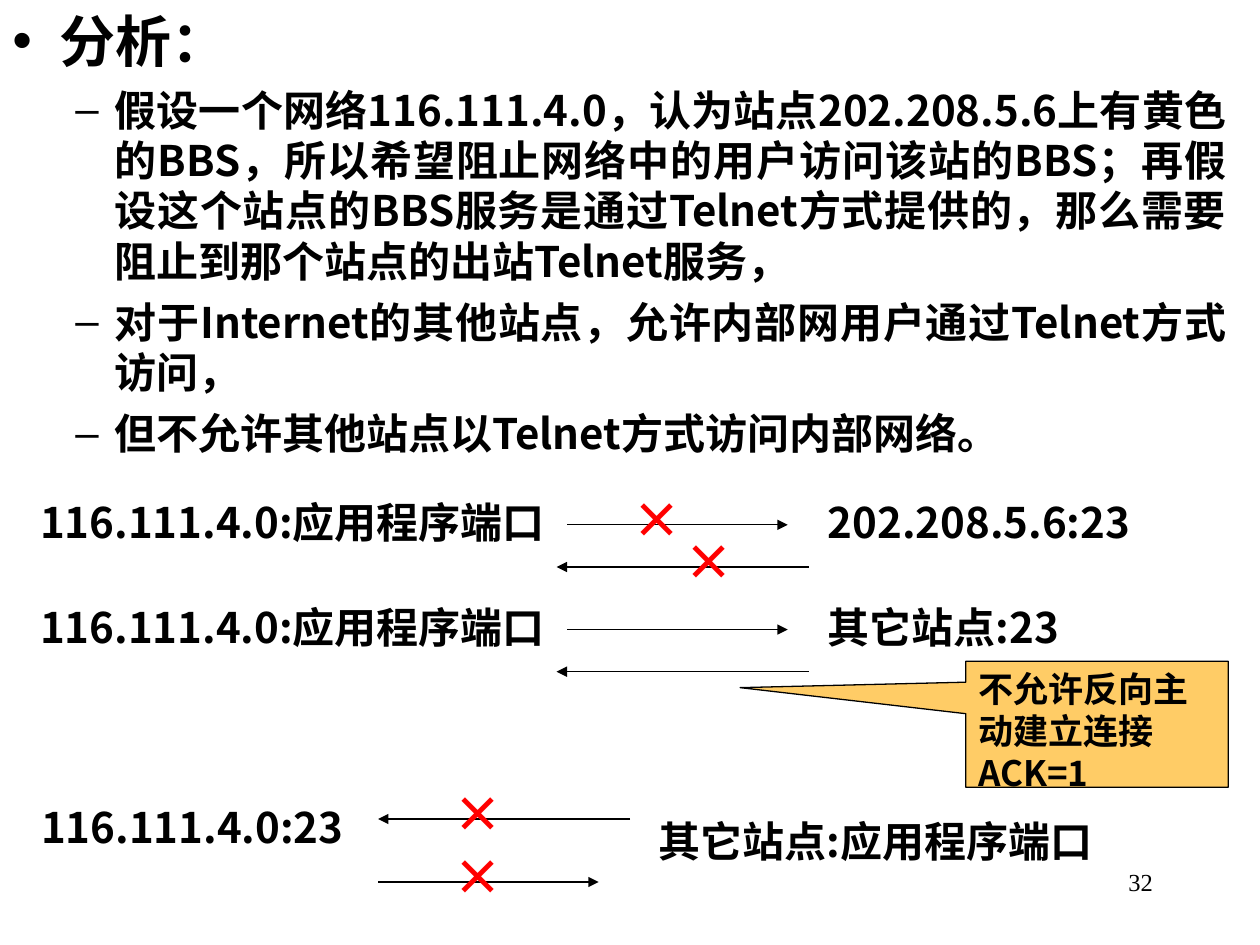
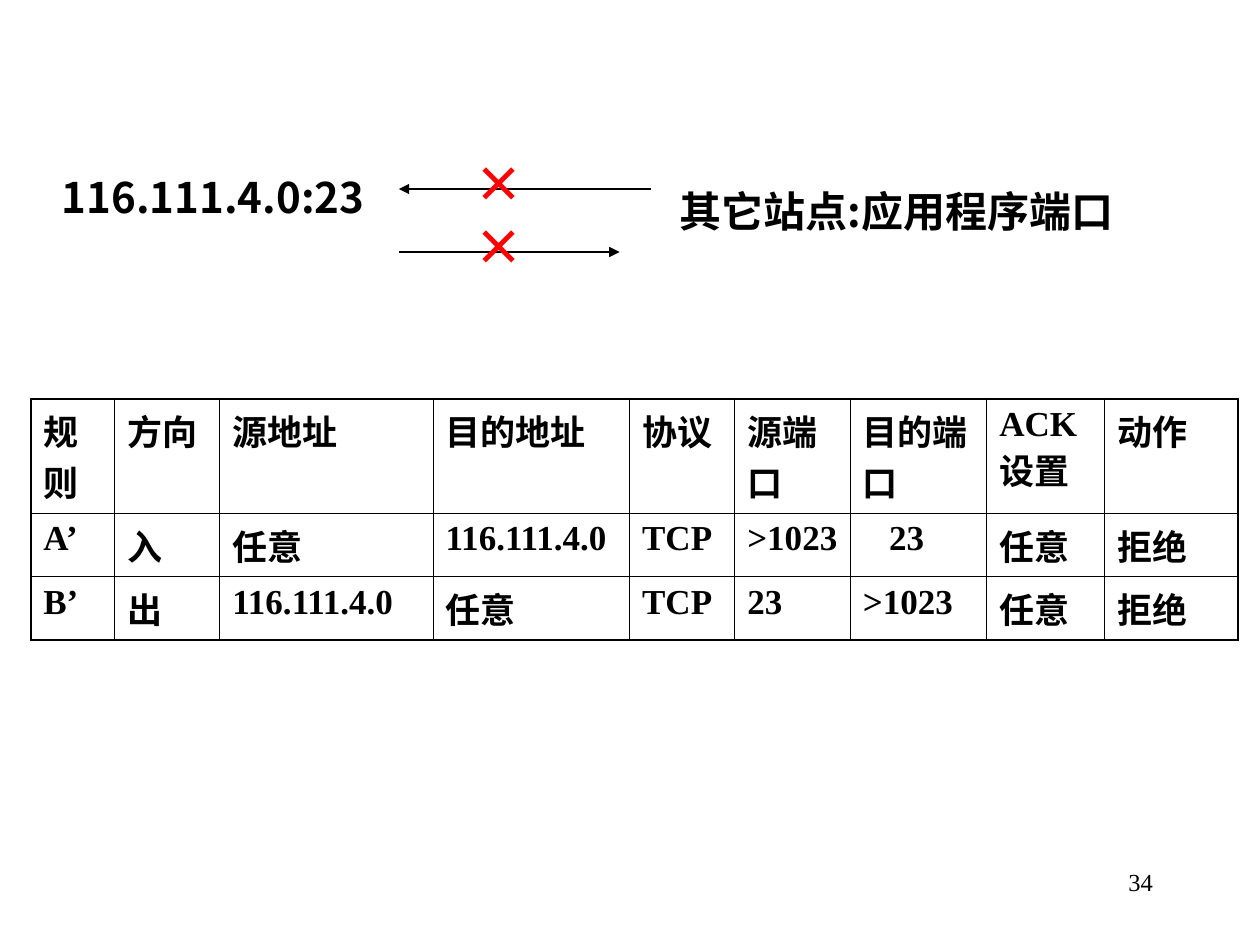
from lxml.etree import SubElement
from pptx import Presentation
from pptx.dml.color import RGBColor
from pptx.enum.shapes import MSO_CONNECTOR, MSO_SHAPE
from pptx.enum.text import MSO_ANCHOR, MSO_AUTO_SIZE, PP_ALIGN
from pptx.oxml import parse_xml
from pptx.oxml.ns import nsdecls, qn
from pptx.util import Cm, Pt

BLACK = RGBColor(0x00, 0x00, 0x00)
RED = RGBColor(0xFF, 0x00, 0x00)
AMBER = RGBColor(0xFF, 0xCC, 0x66)
SANS = "Noto Sans CJK SC"
SERIF = "Times New Roman"
LEADING = 1.2

CLIENT = "116.111.4.0:应用程序端口"
POINTS = [
    "假设一个网络116.111.4.0，认为站点202.208.5.6上有黄色的BBS，所以希望阻止网络中的用户"
    "访问该站的BBS；再假设这个站点的BBS服务是通过Telnet方式提供的，那么需要阻止到那个站点的"
    "出站Telnet服务，",
    "对于Internet的其他站点，允许内部网用户通过Telnet方式访问，",
    "但不允许其他站点以Telnet方式访问内部网络。",
]
RULES = [
    ["规则", "方向", "源地址", "目的地址", "协议", "源端口", "目的端口", "ACK设置", "动作"],
    ["A’", "入", "任意", "116.111.4.0", "TCP", ">1023", "23", "任意", "拒绝"],
    ["B’", "出", "116.111.4.0", "任意", "TCP", "23", ">1023", "任意", "拒绝"],
]
WIDTHS = [1.69, 2.12, 4.3, 3.96, 2.12, 2.33, 2.75, 2.38, 2.69]
HEIGHTS = [1.96, 1.11, 1.11]


# Text
def add_run(para, text, size, face=SANS, color=BLACK, bold=True):
    run = para.add_run()
    run.text = text
    font = run.font
    font.size, font.name, font.bold = Pt(size), face, bold
    font.color.rgb = color
    SubElement(run._r.get_or_add_rPr(), qn("a:ea")).set("typeface", SANS)


def set_lead(para, size):
    para.line_spacing = Pt(size * LEADING)


def set_frame(frame, wrap=True):
    frame.word_wrap = wrap
    frame.auto_size = MSO_AUTO_SIZE.NONE
    frame.vertical_anchor = MSO_ANCHOR.TOP
    frame.margin_left = frame.margin_right = Cm(0.25)
    frame.margin_top = frame.margin_bottom = Cm(0.13)


def add_label(shapes, text, x, y, w, h=1.27, size=24, color=BLACK):
    box = shapes.add_textbox(Cm(x), Cm(y), Cm(w), Cm(h))
    set_frame(box.text_frame, wrap=False)
    para = box.text_frame.paragraphs[0]
    set_lead(para, size)
    add_run(para, text, size, color=color)


def add_cross(shapes, x, y):
    add_label(shapes, "×", x, y, 1.5, 1.45, 28, RED)


def add_number(slide, number):
    box = slide.shapes.add_textbox(Cm(18.2), Cm(17.36), Cm(5.29), Cm(1.27))
    box.text_frame.word_wrap = True
    para = box.text_frame.paragraphs[0]
    para.alignment = PP_ALIGN.RIGHT
    add_run(para, number, 14, SERIF, bold=False)


def add_item(para, text, level, size, face, gap, left, hang):
    para.level = level
    para.space_before = Pt(gap)
    set_lead(para, size)
    props = para._p.get_or_add_pPr()
    props.set("marL", str(Cm(left)))
    props.set("indent", str(-Cm(hang)))
    add_run(para, text, size, face)


def fill_body(slide):
    slide.shapes.title.element.getparent().remove(slide.shapes.title.element)
    body = slide.placeholders[1]
    body.left, body.top, body.width, body.height = Cm(0), Cm(0), Cm(24.97), Cm(19.05)
    frame = body.text_frame
    set_frame(frame)
    add_item(frame.paragraphs[0], "分析：", 0, 32, SERIF, 8, 0.95, 0.95)
    for point in POINTS:
        para = frame.add_paragraph()
        add_item(para, point, 1, 24, SANS, 6, 2.06, 0.79)
        para.alignment = PP_ALIGN.JUSTIFY


# Packet flows
def add_arrow(shapes, start, end, y):
    line = shapes.add_connector(MSO_CONNECTOR.STRAIGHT, Cm(start), Cm(y), Cm(end), Cm(y))
    line.line.color.rgb = BLACK
    line.line.width = Pt(0.7)
    SubElement(line.line._get_or_add_ln(), qn("a:tailEnd")).set("type", "triangle")
    SubElement(line._element.spPr, qn("a:effectLst"))


def add_outbound(slide, y, site, width, blocked):
    shapes = slide.shapes.add_group_shape().shapes
    add_label(shapes, CLIENT, 0.56, y, 10.87)
    add_label(shapes, site, 16.44, y, width)
    add_arrow(shapes, 11.43, 15.88, y + 0.7)
    add_arrow(shapes, 16.3, 11.22, y + 1.55)
    if blocked:
        add_cross(shapes, 12.5, y - 0.15)
        add_cross(shapes, 13.55, y + 0.7)


def add_inbound(slide, x, y):
    shapes = slide.shapes.add_group_shape().shapes
    add_label(shapes, "116.111.4.0:23", x - 7.04, y - 0.48, 6.6)
    add_label(shapes, "其它站点:应用程序端口", x + 5.41, y - 0.2, 9.65)
    add_arrow(shapes, x + 5.08, x, y)
    add_arrow(shapes, x, x + 4.45, y + 1.27)
    for drop in (0, 1.27):
        add_cross(shapes, x + 1.27, y - 0.84 + drop)


def add_callout(slide, text):
    note = slide.shapes.add_shape(
        MSO_SHAPE.RECTANGULAR_CALLOUT, Cm(19.47), Cm(13.33), Cm(5.29), Cm(2.54))
    note.adjustments[0], note.adjustments[1] = -1.36, -0.29
    note.shadow.inherit = False
    note.fill.solid()
    note.fill.fore_color.rgb = AMBER
    note.line.color.rgb = BLACK
    note.line.width = Pt(0.75)
    set_frame(note.text_frame)
    para = note.text_frame.paragraphs[0]
    para.alignment = PP_ALIGN.LEFT
    set_lead(para, 20)
    add_run(para, text, 20)


# Rule table
def set_border(cell, outer):
    props = cell._tc.get_or_add_tcPr()
    for spot, side in enumerate("LRTB"):
        width = Pt(1.08 if side in outer else 0.45)
        props.insert(spot, parse_xml(
            f'<a:ln{side} {nsdecls("a")} w="{width}"><a:solidFill>'
            f'<a:srgbClr val="{BLACK}"/></a:solidFill></a:ln{side}>'))


def add_rules(slide):
    table = slide.shapes.add_table(
        len(RULES), len(WIDTHS), Cm(0.62), Cm(8.04), Cm(sum(WIDTHS)), Cm(sum(HEIGHTS))).table
    table.first_row = table.horz_banding = False
    for col, width in zip(table.columns, WIDTHS):
        col.width = Cm(width)
    for row, height in zip(table.rows, HEIGHTS):
        row.height = Cm(height)
    last_row, last_col = len(RULES) - 1, len(WIDTHS) - 1
    for r, texts in enumerate(RULES):
        for c, text in enumerate(texts):
            cell = table.cell(r, c)
            cell.fill.background()
            edges = {"L": c == 0, "R": c == last_col, "T": r == 0, "B": r == last_row}
            set_border(cell, [side for side, outer in edges.items() if outer])
            para = cell.text_frame.paragraphs[0]
            para.space_before = Pt(5)
            add_run(para, text, 20, SERIF)
    # The inbound target port is set in from the cell edge
    port = table.cell(1, 6).text_frame.paragraphs[0]
    port._p.get_or_add_pPr().set("marL", str(Cm(0.53)))


def main():
    deck = Presentation()
    deck.slide_width, deck.slide_height = Cm(25.4), Cm(19.05)

    # Analysis of the allowed and blocked flows
    slide = deck.slides.add_slide(deck.slide_layouts[1])
    fill_body(slide)
    add_outbound(slide, 9.88, "202.208.5.6:23", 6.6, True)
    add_outbound(slide, 11.99, "其它站点:23", 5.36, False)
    add_callout(slide, "不允许反向主动建立连接ACK=1")
    add_inbound(slide, 7.62, 16.51)
    add_number(slide, "32")

    # Rules against inbound connections
    slide = deck.slides.add_slide(deck.slide_layouts[6])
    add_rules(slide)
    add_inbound(slide, 8.04, 3.81)
    add_number(slide, "34")

    deck.save("out.pptx")


if __name__ == "__main__":
    main()
